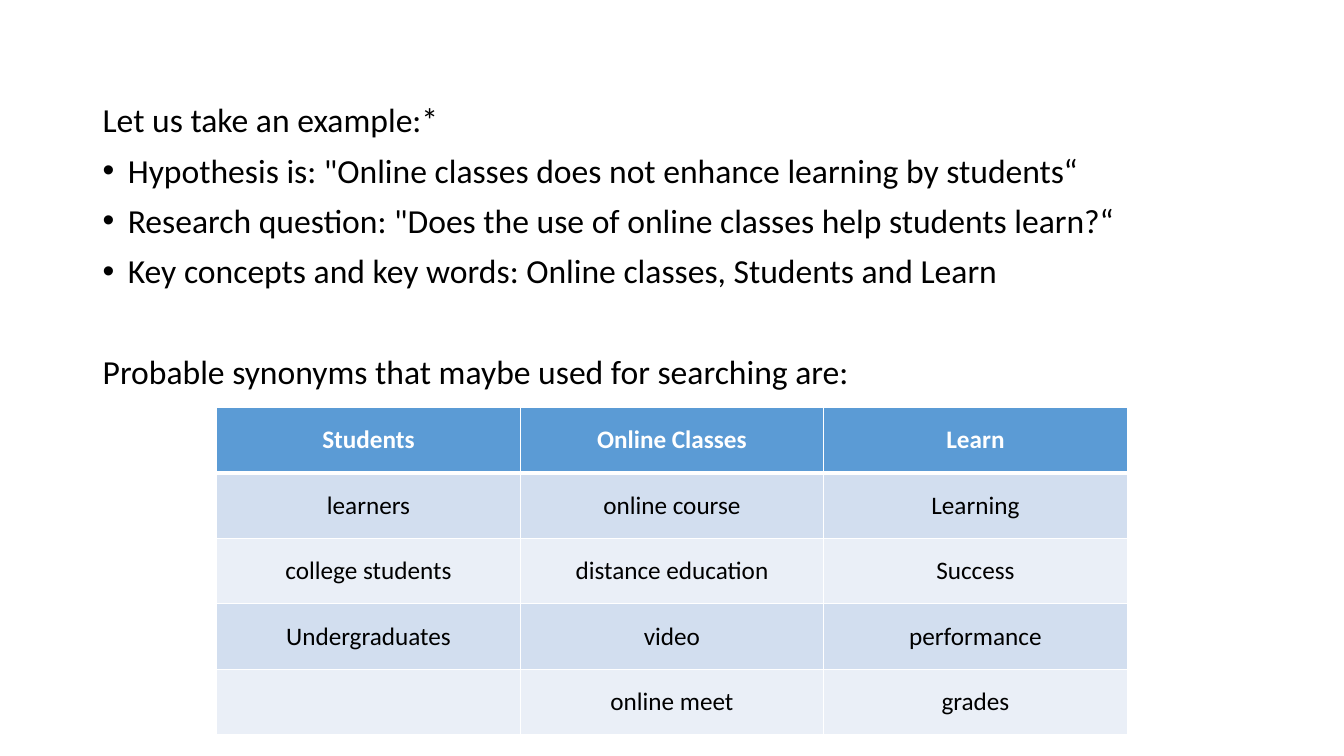
from lxml.etree import SubElement
from pptx import Presentation
from pptx.dml.color import RGBColor
from pptx.enum.text import MSO_ANCHOR, PP_ALIGN
from pptx.oxml.ns import qn
from pptx.util import Inches, Pt

# Content: (text, bulleted, space before in points)
LINES = [
    ("Let us take an example:*", False, 0),
    ('Hypothesis is: "Online classes does not enhance learning by students“', True, 10),
    ('Research question: "Does the use of online classes help students learn?“', True, 10),
    ("Key concepts and key words: Online classes, Students and Learn", True, 10),
    ("Probable synonyms that maybe used for searching are:", False, 46),
]
ROWS = [
    ("Students", "Online Classes", "Learn"),
    ("learners", "online course", "Learning"),
    ("college students", "distance education", "Success"),
    ("Undergraduates", "video", "performance"),
    ("", "online meet", "grades"),
]

FONT = "Calibri"
BLACK = RGBColor(0x00, 0x00, 0x00)
WHITE = RGBColor(0xFF, 0xFF, 0xFF)
BLUE = RGBColor(0x5B, 0x9B, 0xD5)
BANDS = (RGBColor(0xEA, 0xEF, 0xF7), RGBColor(0xD2, 0xDE, 0xEF))
COL_W, ROW_H = 3.01, 0.65


def style(para, size, color, bold=False):
    for run in para.runs:
        font = run.font
        font.name, font.size, font.bold = FONT, Pt(size), bold
        font.color.rgb = color


def add_bullet(para):
    props = para._p.get_or_add_pPr()
    props.set("marL", str(Inches(0.25)))
    props.set("indent", str(Inches(-0.25)))
    SubElement(props, qn("a:buFont")).set("typeface", "Arial")
    SubElement(props, qn("a:buChar")).set("char", "•")


def add_edge(props, side, width):
    line = SubElement(props, qn("a:" + side), w=str(Pt(width)))
    fill = SubElement(line, qn("a:solidFill"))
    SubElement(fill, qn("a:srgbClr"), val=str(WHITE))


prs = Presentation()
prs.slide_width, prs.slide_height = Inches(13.33), Inches(7.5)
slide = prs.slides.add_slide(prs.slide_layouts[6])

# Example text
box = slide.shapes.add_textbox(Inches(0.92), Inches(0.98), Inches(11.5), Inches(5.78))
frame = box.text_frame
frame.word_wrap = True
for i, (text, bullet, gap) in enumerate(LINES):
    para = frame.add_paragraph() if i else frame.paragraphs[0]
    para.text = text
    if bullet:
        add_bullet(para)
    para.line_spacing = 0.9
    if gap:
        para.space_before = Pt(gap)
    style(para, 24, BLACK)

# Synonym table
count, width = len(ROWS), len(ROWS[0])
table = slide.shapes.add_table(
    count, width, Inches(2.15), Inches(4.04),
    Inches(COL_W * width), Inches(ROW_H * count)).table
for col in table.columns:
    col.width = Inches(COL_W)
for r, words in enumerate(ROWS):
    table.rows[r].height = Inches(ROW_H)
    for c, word in enumerate(words):
        cell = table.cell(r, c)
        cell.text_frame.text = word
        cell.vertical_anchor = MSO_ANCHOR.MIDDLE
        para = cell.text_frame.paragraphs[0]
        para.alignment = PP_ALIGN.CENTER
        style(para, 18, BLACK if r else WHITE, bold=r == 0)
        # Borders go before the fill; the header has a thick lower edge
        props = cell._tc.get_or_add_tcPr()
        for side, thick in (("lnL", False), ("lnR", False),
                            ("lnT", r == 1), ("lnB", r == 0)):
            add_edge(props, side, 3 if thick else 1)
        cell.fill.solid()
        cell.fill.fore_color.rgb = BANDS[r % 2] if r else BLUE

prs.save("out.pptx")
